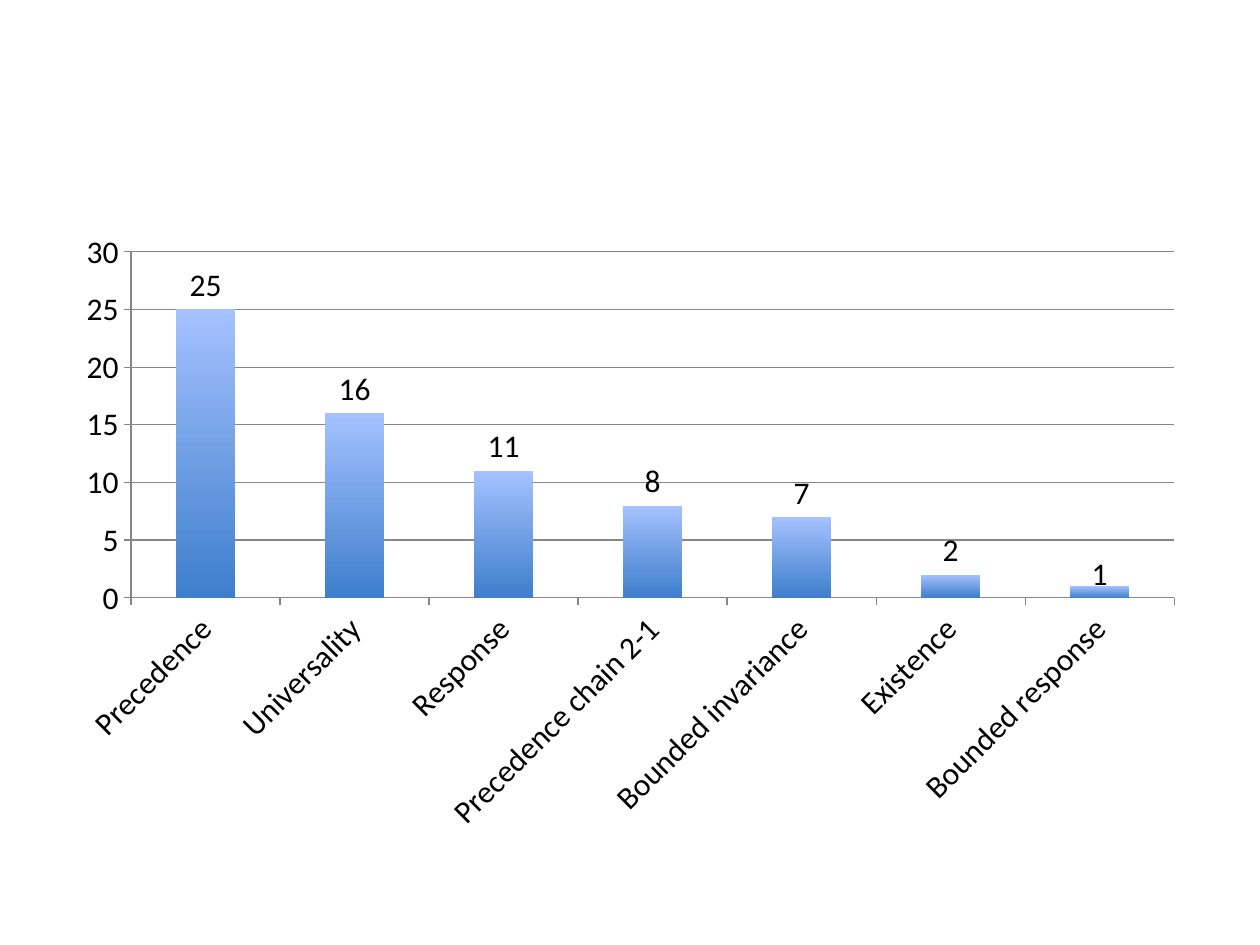
from lxml import etree
from pptx import Presentation
from pptx.chart.data import CategoryChartData
from pptx.dml.color import RGBColor
from pptx.enum.chart import XL_CHART_TYPE, XL_LABEL_POSITION, XL_TICK_MARK
from pptx.oxml.ns import qn
from pptx.util import Cm, Pt

COLUMN_STACKED = XL_CHART_TYPE.COLUMN_STACKED
INSIDE_BASE = XL_LABEL_POSITION.INSIDE_BASE
TICK_OUTSIDE = XL_TICK_MARK.OUTSIDE
TICK_NONE = XL_TICK_MARK.NONE
BLANK_LAYOUT = 6

# Content
PATTERN_COUNTS = [
    ("Precedence", 25),
    ("Universality", 16),
    ("Response", 11),
    ("Precedence chain 2-1", 8),
    ("Bounded invariance", 7),
    ("Existence", 2),
    ("Bounded response", 1),
]
AXIS_MAXIMUM = 30
AXIS_STEP = 5
BAR_GRADIENT = ("A5C1FF", "3E7FCC")
LINE_COLOR = "868686"
PLOT_AREA = {"x": 0.06, "y": 0.05, "w": 0.92, "h": 0.555}


def rgb(color):
    return RGBColor.from_string(color)


def make_layout(**settings):
    """Build a manual chart layout from fractions of the chart size."""
    layout = etree.Element(qn("c:layout"))
    manual = etree.SubElement(layout, qn("c:manualLayout"))
    for tag, value in settings.items():
        etree.SubElement(manual, qn("c:" + tag)).set("val", str(value))
    return layout


def format_line(line):
    line.color.rgb = rgb(LINE_COLOR)
    line.width = Pt(0.75)


presentation = Presentation()
presentation.slide_width = Cm(25.4)
presentation.slide_height = Cm(19.05)
slide = presentation.slides.add_slide(presentation.slide_layouts[BLANK_LAYOUT])

# Chart
chart_data = CategoryChartData()
chart_data.categories = [name for name, count in PATTERN_COUNTS]
chart_data.add_series("Series 1", [count for name, count in PATTERN_COUNTS])
chart = slide.shapes.add_chart(
    COLUMN_STACKED, Cm(1.27), Cm(4.45), Cm(22.86), Cm(12.57), chart_data
).chart
chart.has_title = False
chart.has_legend = False
chart.font.name = "Calibri"
chart.font.size = Pt(18)
chart.font.color.rgb = rgb("000000")

# Plot area
plot_area = chart.plots[0]._element.getparent()
for old_layout in plot_area.findall(qn("c:layout")):
    plot_area.remove(old_layout)
plot_area.insert(0, make_layout(layoutTarget="inner", xMode="edge", yMode="edge", **PLOT_AREA))

# Axes
for axis in (chart.category_axis, chart.value_axis):
    axis.major_tick_mark = TICK_OUTSIDE
    axis.minor_tick_mark = TICK_NONE
    format_line(axis.format.line)
chart.value_axis.minimum_scale = 0
chart.value_axis.maximum_scale = AXIS_MAXIMUM
chart.value_axis.major_unit = AXIS_STEP
chart.value_axis.has_major_gridlines = True
format_line(chart.value_axis.major_gridlines.format.line)

# Slanted category names
category_axis = chart.category_axis
category_axis.tick_labels.font.size = Pt(18)
body_properties = category_axis._element.find(qn("c:txPr")).find(qn("a:bodyPr"))
body_properties.set("rot", "-2700000")
body_properties.set("vert", "horz")

# Bars
plot = chart.plots[0]
plot.gap_width = 150
plot.overlap = 100
plot.vary_by_categories = False
bars = plot.series[0]
fill = bars.format.fill
fill.gradient()
fill.gradient_angle = 270
for stop, position, color in zip(fill.gradient_stops, (0, 1), BAR_GRADIENT):
    stop.position = position
    stop.color.rgb = rgb(color)

# Value labels, raised from the base by the height of each bar
labels = bars.data_labels
labels.show_value = True
labels.position = INSIDE_BASE
for index, (name, count) in enumerate(PATTERN_COUNTS[:-1]):
    bars.points[index].data_label.position = INSIDE_BASE
    rise = round(count / AXIS_MAXIMUM * PLOT_AREA["h"], 3)
    label = labels._element.findall(qn("c:dLbl"))[index]
    label.find(qn("c:idx")).addnext(make_layout(x=0, y=-rise))

# No leader lines between the bars and their raised labels
for leader_lines in labels._element.findall(qn("c:showLeaderLines")):
    leader_lines.set("val", "0")

presentation.save("out.pptx")
